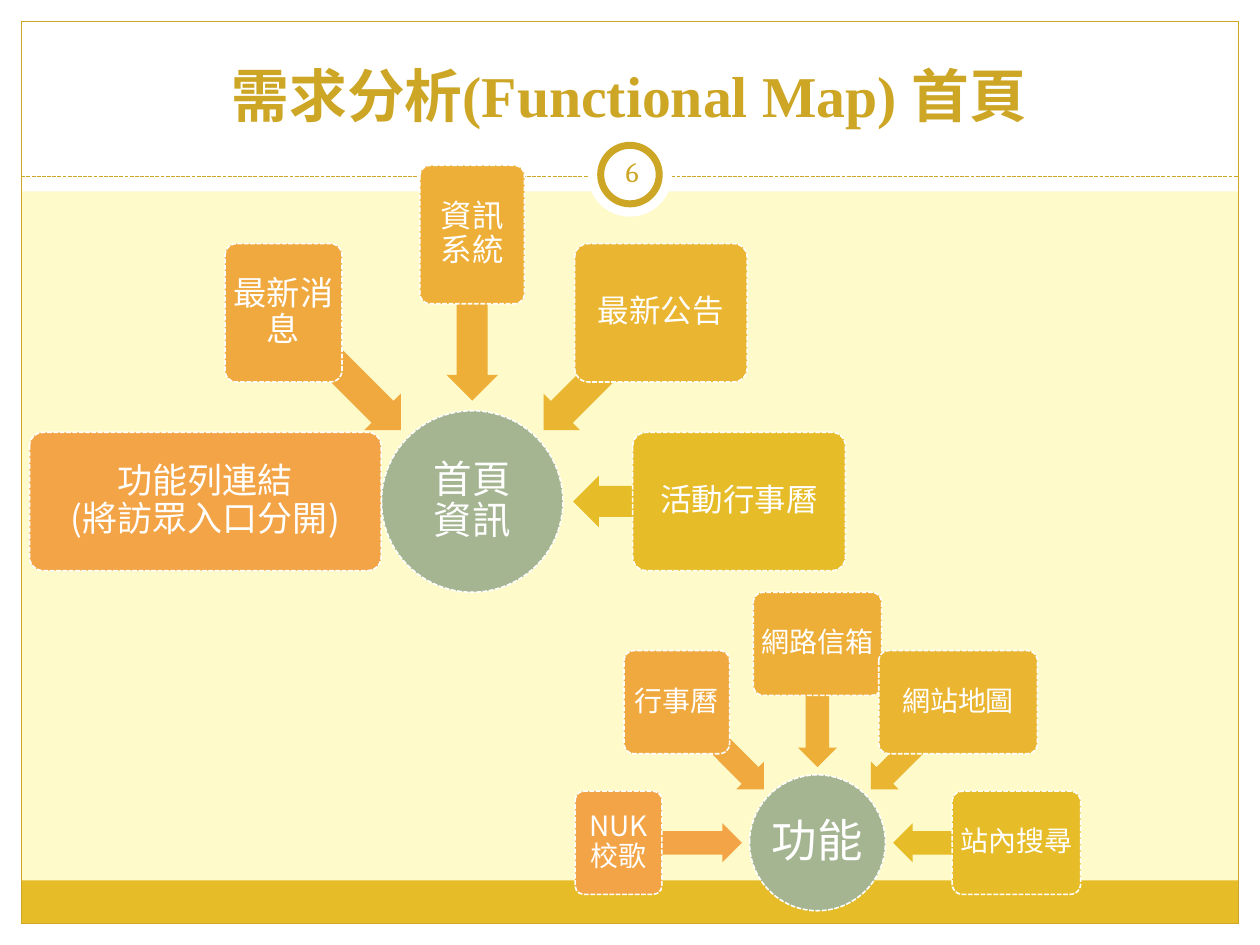
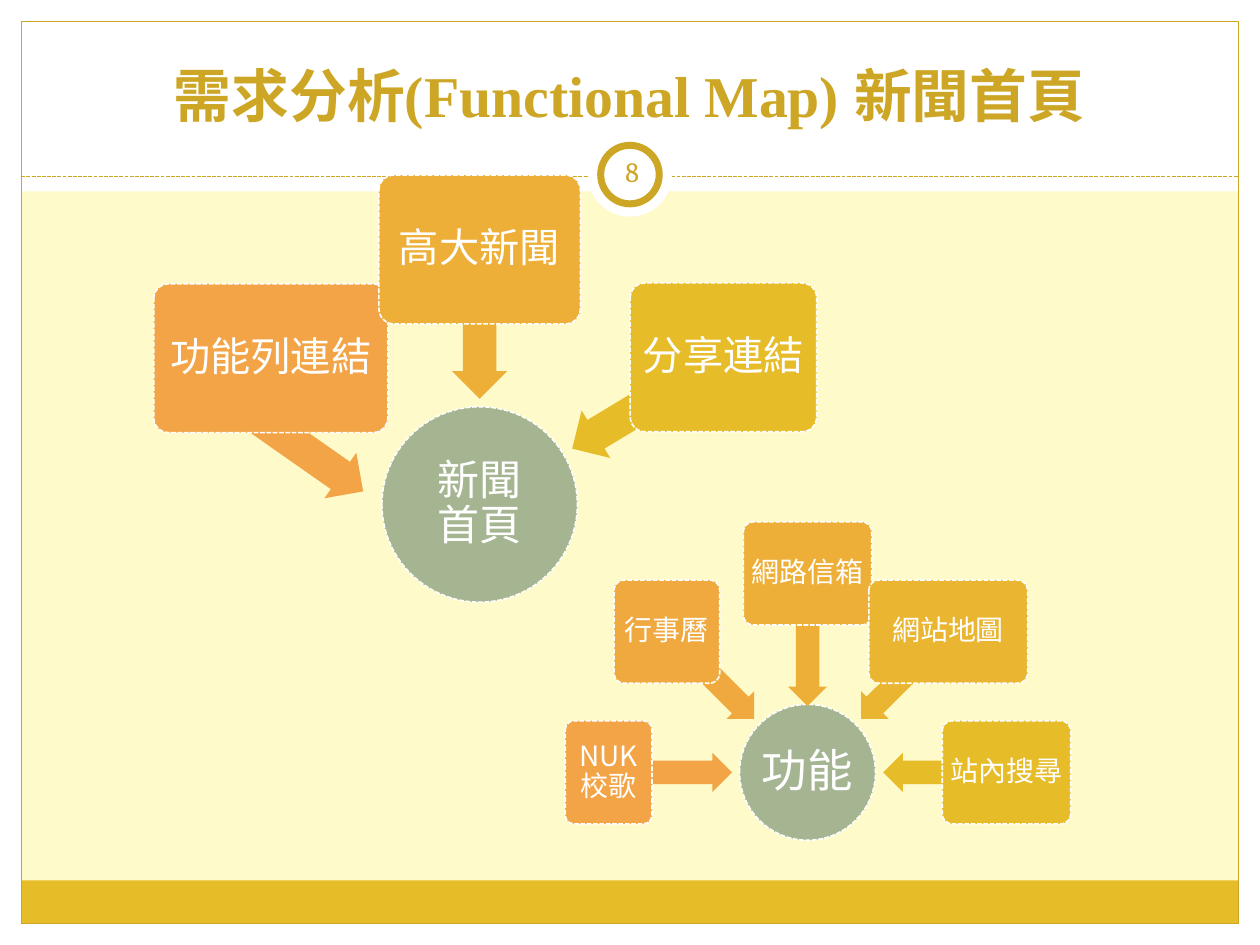
"""Build two functional map slides with hubs and spokes."""
from dataclasses import dataclass
from math import cos, radians, sin

from lxml import etree
from pptx import Presentation
from pptx.dml.color import RGBColor
from pptx.enum.dml import MSO_LINE
from pptx.enum.shapes import MSO_CONNECTOR, MSO_SHAPE
from pptx.enum.text import MSO_ANCHOR, PP_ALIGN
from pptx.oxml.ns import qn
from pptx.util import Cm, Pt

RECT = MSO_SHAPE.RECTANGLE
OVAL = MSO_SHAPE.OVAL
ROUND = MSO_SHAPE.ROUNDED_RECTANGLE
ARROW = MSO_SHAPE.LEFT_ARROW
STRAIGHT = MSO_CONNECTOR.STRAIGHT
DASH = MSO_LINE.SQUARE_DOT
CENTER = PP_ALIGN.CENTER
MIDDLE = MSO_ANCHOR.MIDDLE
BOTTOM = MSO_ANCHOR.BOTTOM

WHITE = RGBColor(0xFF, 0xFF, 0xFF)
CREAM = RGBColor(0xFE, 0xFA, 0xC9)
GOLD = RGBColor(0xCC, 0xA6, 0x24)
SAGE = RGBColor(0xA5, 0xB5, 0x92)
ORANGE = RGBColor(0xF3, 0xA4, 0x47)
APRICOT = RGBColor(0xF0, 0xA9, 0x3F)
AMBER = RGBColor(0xED, 0xAF, 0x38)
HONEY = RGBColor(0xEA, 0xB5, 0x30)
YELLOW = RGBColor(0xE7, 0xBC, 0x29)

SERIF = "Times New Roman"
NUMBER = "Cambria"
SANS = "Noto Sans CJK SC"
WIDE, HIGH = 25.4, 19.05
EDGE = 0.43


@dataclass
class Ray:
    """One box around a hub; unset values come from the hub."""
    text: str
    angle: float
    width: float
    color: RGBColor
    size: float = None
    reach: float = None
    gap: float = None
    turn: float = None
    span: float = None


@dataclass
class Hub:
    """A round centre and the measures its rays share."""
    text: str
    size: float
    x: float
    y: float
    across: float
    reach: float
    gap: float
    span: float
    thick: float
    tall: float
    inset: float
    small: float


def pick(own, shared):
    """Return the own value where it is set."""
    return shared if own is None else own


def polar(hub, angle, reach):
    """Return the point at an angle and distance from the hub."""
    turn = radians(angle)
    return hub.x + reach * cos(turn), hub.y + reach * sin(turn)


class Deck:
    """Holds the style and the current slide."""

    def __init__(self):
        """Open a blank deck."""
        self.prs = Presentation()
        self.prs.slide_width, self.prs.slide_height = Cm(WIDE), Cm(HIGH)
        fill = self.prs.slide_master.background.fill
        fill.solid()
        fill.fore_color.rgb = CREAM
        self.slide = None

    def shape(self, kind, x, y, w, h, fill=None, line=None, weight=0.75, dash=None):
        """Add a preset shape."""
        item = self.slide.shapes.add_shape(kind, Cm(x), Cm(y), Cm(w), Cm(h))
        item.shadow.inherit = False
        if fill is None:
            item.fill.background()
        else:
            item.fill.solid()
            item.fill.fore_color.rgb = fill
        if line is None:
            item.line.fill.background()
        else:
            item.line.color.rgb = line
            item.line.width = Pt(weight)
            item.line.dash_style = dash
        return item

    def rule(self, x, y, end):
        """Add a level dashed line."""
        item = self.slide.shapes.add_connector(STRAIGHT, Cm(x), Cm(y), Cm(end), Cm(y))
        item.line.color.rgb = GOLD
        item.line.width = Pt(0.75)
        item.line.dash_style = DASH
        etree.SubElement(item.element.spPr, qn("a:effectLst"))

    def letter(self, item, text, size, font, color, inset, anchor=MIDDLE, bold=False, space=None):
        """Set centred text in a shape."""
        frame = item.text_frame
        frame.text = text
        frame.word_wrap = True
        frame.vertical_anchor = anchor
        frame.margin_left = frame.margin_right = Cm(inset)
        frame.margin_top = frame.margin_bottom = Cm(min(inset, 0.13))
        para = frame.paragraphs[0]
        para.alignment = CENTER
        para.line_spacing = space
        para.font.name = font
        para.font.size = Pt(size)
        para.font.bold = bold
        para.font.color.rgb = color
        for run in para.runs:
            props = run.font._element
            etree.SubElement(props, qn("a:ea")).set("typeface", SANS)

    def page(self, title, number):
        """Start a slide with its frame, title and number."""
        self.slide = self.prs.slides.add_slide(self.prs.slide_layouts[5])
        inner = WIDE - 2 * EDGE
        foot = HIGH - EDGE
        for box in ((0, foot, WIDE, EDGE), (0, 0, WIDE, 3.86),
                    (0, 0, EDGE, HIGH), (WIDE - EDGE, 0, EDGE, HIGH)):
            self.shape(RECT, *box, fill=WHITE)
        self.shape(RECT, EDGE, 17.75, inner, foot - 17.75, fill=YELLOW)
        self.shape(RECT, EDGE, EDGE, inner, foot - EDGE, line=GOLD)
        self.rule(EDGE, 3.56, WIDE - EDGE)
        self.shape(OVAL, 11.85, 2.67, 1.7, 1.7, fill=WHITE)
        ring = self.shape(OVAL, 12.11, 2.93, 1.18, 1.18, fill=WHITE, line=GOLD, weight=4)
        head = self.slide.shapes.title
        head.left, head.top, head.width, head.height = Cm(0.84), Cm(0.64), Cm(23.7), Cm(2.1)
        self.letter(head, title, 33, SERIF, GOLD, 0.25, BOTTOM, True)
        ring.element.addnext(head.element)
        label = self.slide.shapes.add_textbox(Cm(12.11), Cm(2.84), Cm(1.27), Cm(1.22))
        self.letter(label, number, 16, NUMBER, GOLD, 0.13)

    def node(self, kind, x, y, w, h, color, text, size, inset):
        """Add a dashed node centred on a point."""
        item = self.shape(kind, x - w / 2, y - h / 2, w, h, color, WHITE, 0.9, DASH)
        if kind == ROUND:
            item.adjustments[0] = 0.1
        self.letter(item, text, size, SANS, WHITE, inset, space=0.9)

    def arrow(self, hub, ray):
        """Add the arrow that leads from a box to the hub."""
        span = pick(ray.span, hub.span)
        x, y = polar(hub, pick(ray.turn, ray.angle), pick(ray.gap, hub.gap))
        item = self.shape(ARROW, x - span / 2, y - hub.thick / 2, span, hub.thick, ray.color)
        item.adjustments[0], item.adjustments[1] = 0.6, 0.5
        item.rotation = ray.angle

    def chart(self, hub, rays):
        """Draw a hub with its rays."""
        self.node(OVAL, hub.x, hub.y, hub.across, hub.across, SAGE, hub.text, hub.size, 0.05)
        for ray in rays:
            if ray.span != 0:
                self.arrow(hub, ray)
            x, y = polar(hub, ray.angle, pick(ray.reach, hub.reach))
            self.node(ROUND, x, y, ray.width, hub.tall, ray.color, ray.text,
                      pick(ray.size, hub.small), hub.inset)

    def menu(self, x, y, gap=None):
        """Draw the map of tools that every slide has."""
        hub = Hub("功能", 26, x, y, 2.74, reach=4.01, gap=2.77, span=2.49,
                  thick=0.79, tall=2.08, inset=0.08, small=16)
        self.chart(hub, [
            Ray("NUK校歌", 180, 1.75, ORANGE),
            Ray("行事曆", 225, 2.13, APRICOT),
            Ray("網路信箱", 270, 2.59, AMBER, gap=gap),
            Ray("網站地圖", 315, 3.2, HONEY),
            Ray("站內搜尋", 0, 2.59, YELLOW),
        ])


def main():
    """Build and save the deck."""
    deck = Deck()

    deck.page("需求分析(Functional Map) 首頁", "6")
    home = Hub("首頁\v資訊", 22, 9.52, 10.11, 3.66, reach=5.38, gap=3.71, span=3.35,
               thick=1.04, tall=2.79, inset=0.1, small=18)
    deck.chart(home, [
        Ray("功能列連結\v(將訪眾入口分開)", 180, 7.09, ORANGE, size=20, span=0),
        Ray("最新消息", 225, 2.36, APRICOT, size=19),
        Ray("資訊系統", 270, 2.11, AMBER),
        Ray("最新公告", 315, 3.48, HONEY),
        Ray("活動行事曆", 0, 4.29, YELLOW),
    ])
    deck.menu(16.48, 16.99)

    deck.page("需求分析(Functional Map) 新聞首頁", "8")
    news = Hub("新聞\v首頁", 24, 9.67, 10.17, 3.94, reach=5.14, gap=3.64, span=3.02,
               thick=1.12, tall=3, inset=0.13, small=23)
    deck.chart(news, [
        Ray("功能列連結", 215, 4.72, ORANGE, gap=3.76, turn=197.5),
        Ray("高大新聞", 270, 4.06, AMBER),
        Ray("分享連結", 328.9, 3.76, YELLOW, reach=5.74, gap=3.96, span=3.56),
    ])
    deck.menu(16.28, 15.57, gap=2.58)

    deck.prs.save("out.pptx")


if __name__ == "__main__":
    main()
